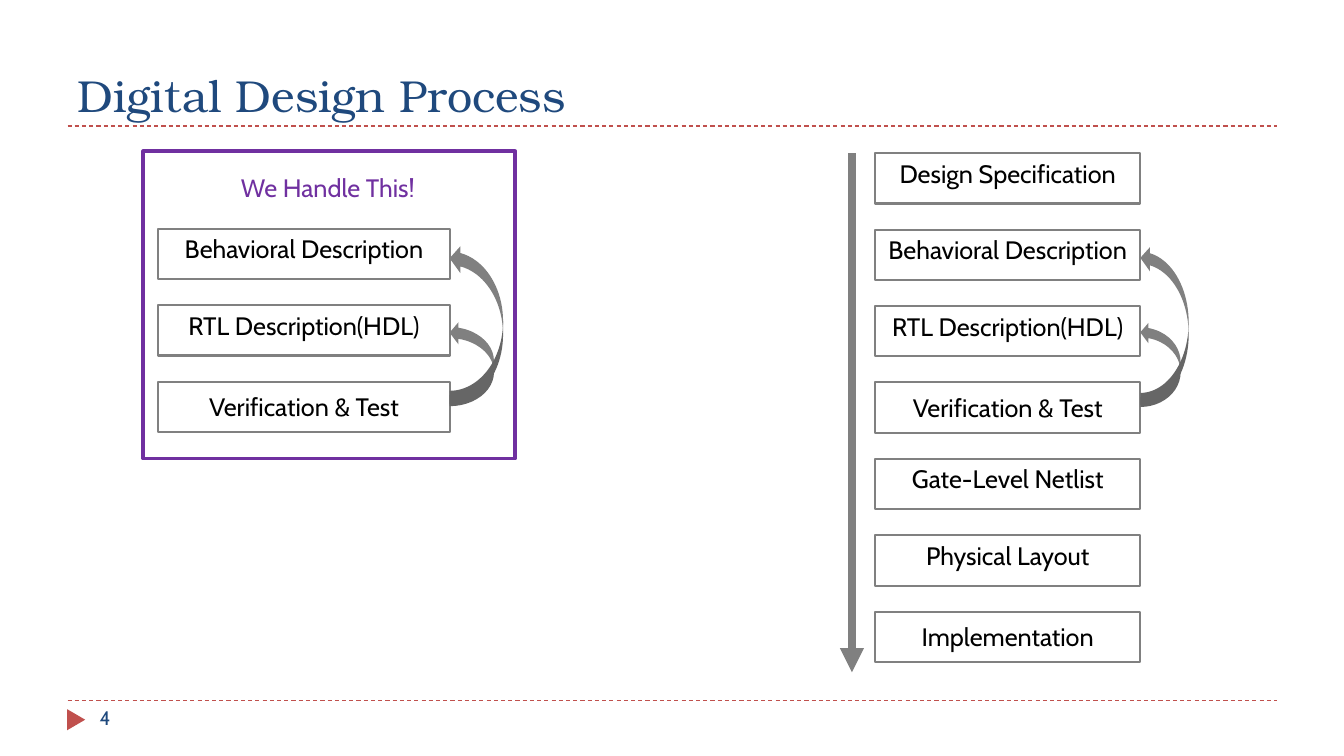
from lxml import etree
from pptx import Presentation
from pptx.dml.color import RGBColor
from pptx.enum.dml import MSO_LINE
from pptx.enum.shapes import MSO_CONNECTOR, MSO_SHAPE
from pptx.enum.text import MSO_ANCHOR, PP_ALIGN
from pptx.oxml.ns import qn
from pptx.util import Inches, Pt

# Content
TITLE = "Digital Design Process"
NUMBER = "4"
CLAIM = "We Handle This!"
STEPS = ["Design Specification", "Behavioral Description", "RTL Description(HDL)",
         "Verification & Test", "Gate-Level Netlist", "Physical Layout",
         "Implementation"]
OURS = STEPS[1:4]
LOWERED = {"Verification & Test", "Implementation"}

# Each column: steps, left, top, width, widths of the short and long loop
COLUMNS = [
    (STEPS, 8.68, 1.52, 2.63, 0.4, 0.48),
    (OURS, 1.57, 2.27, 2.89, 0.44, 0.53),
]
PITCH, BOX_H = 0.758, 0.5
RULES = [1.25, 6.95]

# Style
NAVY = RGBColor(0x1F, 0x49, 0x7D)
RED = RGBColor(0xC0, 0x50, 0x4D)
GRAY = RGBColor(0x80, 0x80, 0x80)
PURPLE = RGBColor(0x70, 0x30, 0xA0)
BLACK = RGBColor(0, 0, 0)
BODY, SERIF = "Cabin", "TeX Gyre Bonum"
RECT, LOOP = MSO_SHAPE.RECTANGLE, MSO_SHAPE.CURVED_LEFT_ARROW
TRIANGLE = MSO_SHAPE.ISOSCELES_TRIANGLE
STRAIGHT, DASH = MSO_CONNECTOR.STRAIGHT, MSO_LINE.DASH
LEFT, CENTER = PP_ALIGN.LEFT, PP_ALIGN.CENTER
TOP, BOTTOM = MSO_ANCHOR.TOP, MSO_ANCHOR.BOTTOM

deck = Presentation()
deck.slide_width, deck.slide_height = Inches(13.33), Inches(7.5)
slide = deck.slides.add_slide(deck.slide_layouts[6])
shapes = slide.shapes


def write(shape, text, size=18, color=BLACK, font=BODY, align=LEFT, anchor=TOP,
          side=0.1, drop=0.05):
    frame = shape.text_frame
    frame.word_wrap = True
    frame.vertical_anchor = anchor
    frame.margin_left = frame.margin_right = Inches(side)
    frame.margin_top = Inches(drop)
    para = frame.paragraphs[0]
    para.alignment = align
    run = para.add_run()
    run.text = text
    run.font.size, run.font.name = Pt(size), font
    run.font.color.rgb = color


def label(text, *place, **style):
    write(shapes.add_textbox(*map(Inches, place)), text, **style)


def draw(kind, *place, fill=None, edge=None, weight=1.5):
    shape = shapes.add_shape(kind, *map(Inches, place))
    shape.shadow.inherit = False
    if fill is None:
        shape.fill.background()
    else:
        shape.fill.solid()
        shape.fill.fore_color.rgb = fill
    if edge is None:
        shape.line.fill.background()
    else:
        shape.line.color.rgb = edge
        shape.line.width = Pt(weight)
    return shape


def rule(*ends, color, weight):
    line = shapes.add_connector(STRAIGHT, *map(Inches, ends))
    line.line.color.rgb = color
    line.line.width = Pt(weight)
    etree.SubElement(line._element.spPr, qn("a:effectLst"))
    return line


def loop(*place):
    arrow = draw(LOOP, *place, fill=GRAY)
    for i, value in enumerate((0.25, 0.5, 0.2)):
        arrow.adjustments[i] = value
    arrow._element.spPr.find(qn("a:xfrm")).set("flipV", "1")


# Page frame
for y in RULES:
    rule(0.67, y, 12.67, y, color=RED, weight=0.75).line.dash_style = DASH
draw(TRIANGLE, 0.65, 7.05, 0.21, 0.18, fill=RED).rotation = 90
label(TITLE, 0.67, 0.17, 12, 1.08, size=32, color=NAVY, font=SERIF, anchor=BOTTOM)
label(NUMBER, 0.89, 6.95, 2.89, 0.4, size=14, color=NAVY)

# Step columns with feedback loops
for steps, left, top, width, short, long in COLUMNS:
    for i, step in enumerate(steps):
        box = draw(RECT, left, top + i * PITCH, width, BOX_H, edge=GRAY)
        write(box, step, align=CENTER, side=0.05,
              drop=0.1 if step in LOWERED else 0.05)
    back = top + steps.index(OURS[0]) * PITCH
    loop(left + width, back + 0.92, short, 0.84)
    loop(left + width, back + 0.16, long, 1.58)

# Flow arrow
flow = rule(8.45, 1.52, 8.45, 6.67, color=GRAY, weight=5.75)
tip = etree.SubElement(flow.line._get_or_add_ln(), qn("a:tailEnd"))
tip.set("type", "triangle")

# Our share of the process
label(CLAIM, 2.29, 1.66, 1.94, 0.4, color=PURPLE)
draw(RECT, 1.42, 1.5, 3.69, 3.05, edge=PURPLE, weight=2.5)

deck.save("out.pptx")
